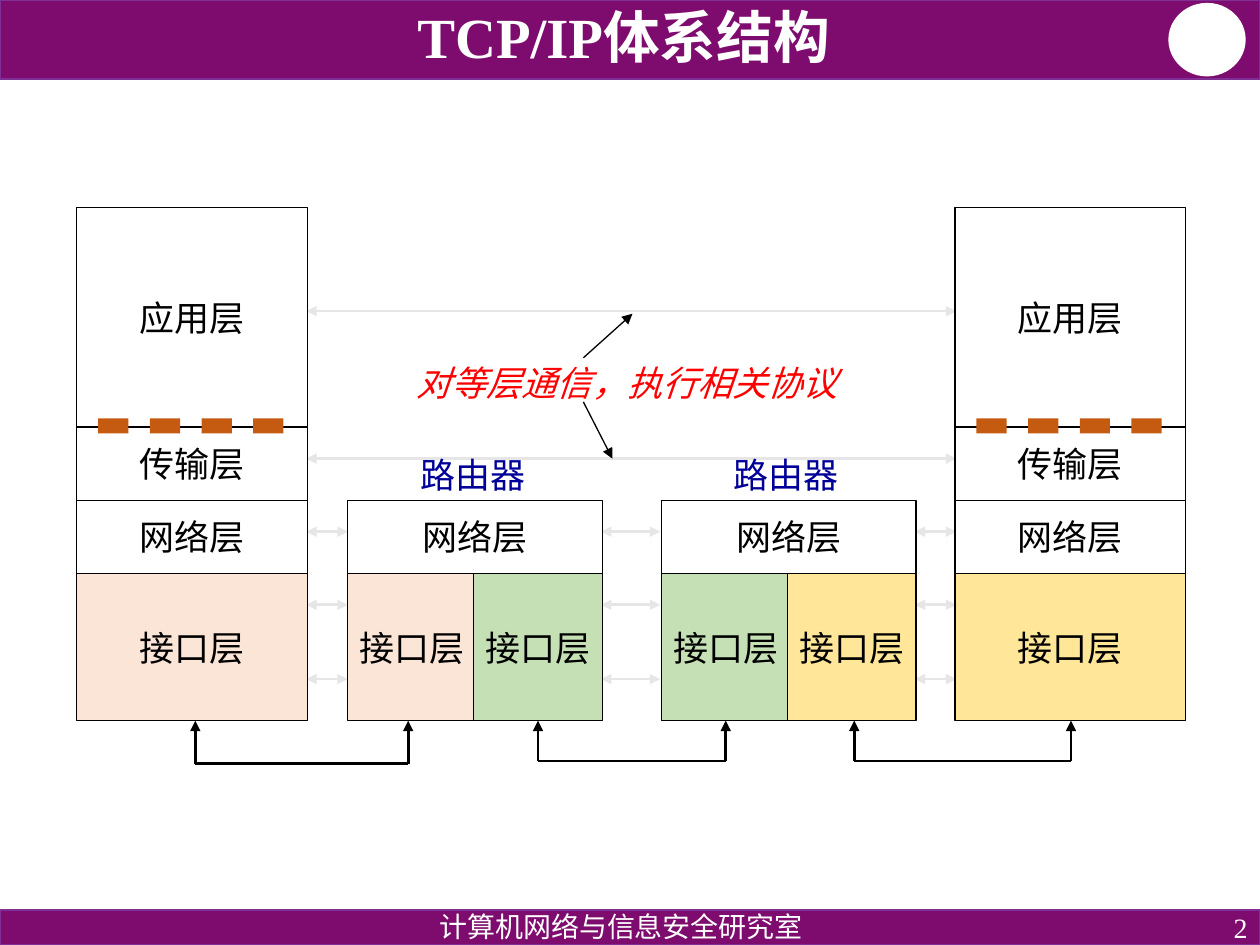
from lxml.etree import SubElement
from pptx import Presentation
from pptx.dml.color import RGBColor
from pptx.enum.shapes import MSO_CONNECTOR as Connector, MSO_SHAPE as Shape
from pptx.enum.text import MSO_ANCHOR as Anchor, PP_ALIGN as Align
from pptx.oxml.ns import qn
from pptx.util import Inches, Pt

FONT = "Times New Roman"
COLORS = {
    "banner": "7E0C6E", "banner_edge": "7F2F95", "white": "FFFFFF", "black": "000000",
    "peer": "E7E6E6", "note": "FF0000", "router": "000099", "dash": "C55A11",
    "peach": "FBE5D6", "green": "C5E0B4", "yellow": "FFE699",
}
HOST_WIDTH, ROUTER_WIDTH, PORT_WIDTH = 1.83, 2.02, 1.02


def rgb(name):
    return RGBColor.from_string(COLORS[name])


def style_text(frame, text, size, color, align=Align.LEFT, anchor=Anchor.TOP, wrap=False):
    frame.word_wrap = wrap
    frame.vertical_anchor = anchor
    para = frame.paragraphs[0]
    para.text = text
    para.alignment = align
    para.font.name, para.font.size = FONT, Pt(size)
    para.font.color.rgb = rgb(color)
    return para


def add_box(slide, left, top, width, height, fill, line=None, weight=0.75,
            kind=Shape.RECTANGLE):
    box = slide.shapes.add_shape(kind, Inches(left), Inches(top), Inches(width), Inches(height))
    box.shadow.inherit = False
    box.fill.solid()
    box.fill.fore_color.rgb = rgb(fill)
    if line:
        box.line.color.rgb = rgb(line)
        box.line.width = Pt(weight)
    else:
        box.line.fill.background()
    return box


def add_layer(slide, text, left, top, width, height, fill="white"):
    box = add_box(slide, left, top, width, height, fill, "black")
    style_text(box.text_frame, text, 20, "black", Align.CENTER, Anchor.MIDDLE)


def add_label(slide, text, left, top, width, height, size, color, **style):
    box = slide.shapes.add_textbox(Inches(left), Inches(top), Inches(width), Inches(height))
    return style_text(box.text_frame, text, size, color, **style)


def add_line(slide, start, end, color="black", weight=1.5, arrows=()):
    line = slide.shapes.add_connector(Connector.STRAIGHT, *map(Inches, (*start, *end)))
    line.line.color.rgb = rgb(color)
    line.line.width = Pt(weight)
    outline = line.line._get_or_add_ln()
    for arrow in arrows:
        SubElement(outline, qn(f"a:{arrow}"), type="triangle")
    SubElement(line._element.spPr, qn("a:effectLst"))


def add_peer_links(slide, left, right, heights):
    for y in heights:
        add_line(slide, (left, y), (right, y), "peer", arrows=("headEnd", "tailEnd"))


def add_host(slide, left, port_fill):
    add_layer(slide, "应用层", left, 1.65, HOST_WIDTH, 1.74)
    add_layer(slide, "传输层", left, 3.39, HOST_WIDTH, 0.58)
    add_layer(slide, "网络层", left, 3.97, HOST_WIDTH, 0.58)
    add_layer(slide, "接口层", left, 4.55, HOST_WIDTH, 1.17, port_fill)
    # Thick dashes on the border between application and transport
    for index in range(4):
        add_box(slide, left + 0.17 + 0.41 * index, 3.32, 0.24, 0.12, "dash")


def add_router(slide, left, label_left, port_fills):
    add_label(slide, "路由器", label_left, 3.55, 1.04, 0.44, 20, "router")
    add_layer(slide, "网络层", left, 3.97, ROUTER_WIDTH, 0.58)
    for index, fill in enumerate(port_fills):
        add_layer(slide, "接口层", left + index, 4.55, PORT_WIDTH, 1.17, fill)


def add_wire(slide, left, right, bottom):
    add_line(slide, (left, bottom), (right, bottom))
    for x in (left, right):
        add_line(slide, (x, bottom), (x, 5.72), arrows=("tailEnd",))


def add_frame(slide):
    # Top and bottom bars, emblem disc, footer and page number
    for top, height in ((0, 0.63), (7.22, 0.28)):
        add_box(slide, 0, top, 10, height, "banner", "banner_edge", 1)
    add_box(slide, 9.28, 0.03, 0.6, 0.57, "white", "white", 1, Shape.OVAL)
    add_label(slide, "2", 7.75, 7.22, 2.25, 0.28, 16, "white",
              align=Align.RIGHT, anchor=Anchor.MIDDLE, wrap=True)
    footer = add_label(slide, "计算机网络与信息安全研究室", 2.69, 7.2, 4.48, 0.28, 16, "white",
                       align=Align.CENTER, wrap=True)
    footer.line_spacing = 0.9


def add_title(slide):
    title = slide.shapes.title
    title.left, title.top = Inches(0.67), Inches(0.04)
    title.width, title.height = Inches(8.56), Inches(0.56)
    para = style_text(title.text_frame, "TCP/IP体系结构", 32.4, "white",
                      Align.CENTER, Anchor.BOTTOM, wrap=True)
    para.font.bold = True
    para.line_spacing = 0.8
    slide.shapes._spTree.append(title._element)  # in front of the bar


def main():
    deck = Presentation()
    deck.slide_width, deck.slide_height = Inches(10), Inches(7.5)
    slide = deck.slides.add_slide(deck.slide_layouts[5])
    add_frame(slide)

    # Peer communication between layers
    add_peer_links(slide, 2.43, 7.59, (2.47, 3.64))
    for left, right in ((2.43, 2.76), (4.77, 5.24), (7.26, 7.59)):
        add_peer_links(slide, left, right, (4.22, 4.8, 5.39))

    # Physical wiring below the stacks
    for left, right, bottom in ((1.55, 3.24, 6.06), (4.27, 5.76, 6.04), (6.78, 8.5, 6.04)):
        add_wire(slide, left, right, bottom)

    # Note with its two pointers
    note = add_label(slide, "对等层通信，执行相关协议", 3.21, 2.82, 3.57, 0.44, 20, "note")
    note.font.italic = True
    for start, end in (((4.63, 2.84), (5.02, 2.49)), ((4.63, 3.19), (4.86, 3.64))):
        add_line(slide, start, end, weight=0.75, arrows=("tailEnd",))

    # Protocol stacks
    add_host(slide, 0.61, "peach")
    add_host(slide, 7.58, "yellow")
    add_router(slide, 2.76, 3.24, ("peach", "green"))
    add_router(slide, 5.25, 5.72, ("green", "yellow"))

    add_title(slide)
    deck.save("out.pptx")


main()
